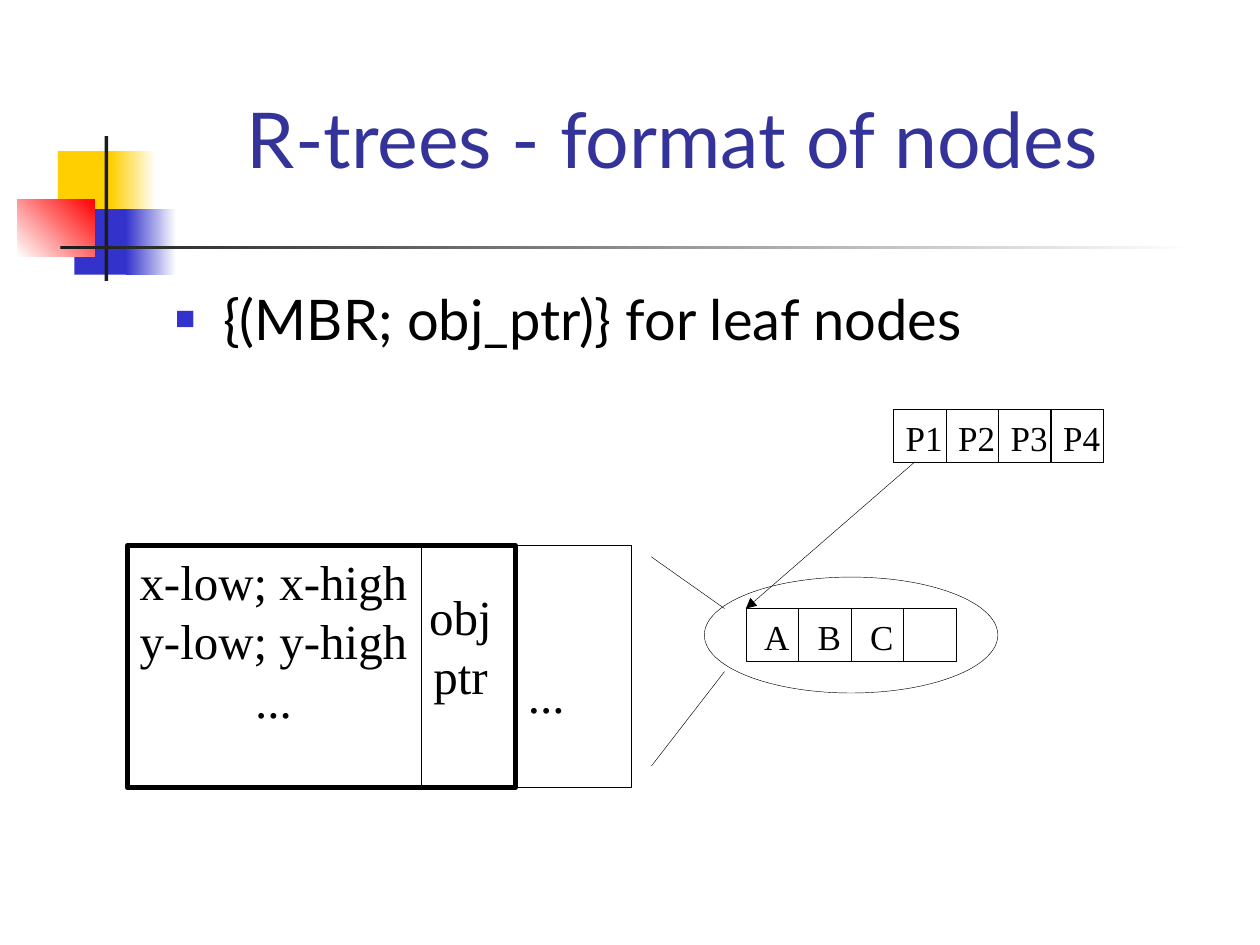
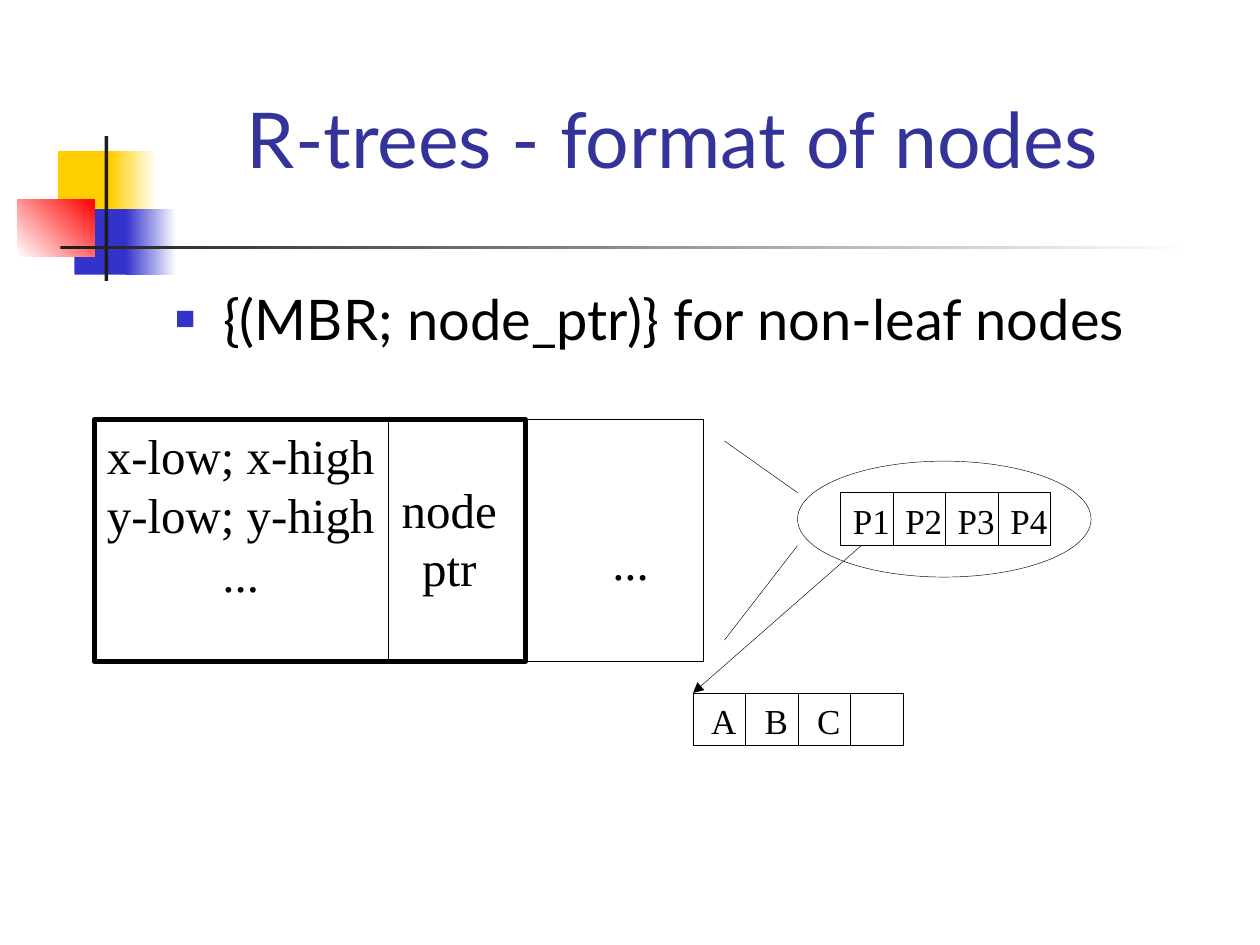
from lxml import etree
from pptx import Presentation
from pptx.dml.color import RGBColor
from pptx.enum.shapes import MSO_CONNECTOR, MSO_SHAPE
from pptx.enum.text import MSO_ANCHOR, MSO_AUTO_SIZE, PP_ALIGN
from pptx.oxml.ns import qn
from pptx.util import Inches, Pt

RECTANGLE = MSO_SHAPE.RECTANGLE
OVAL = MSO_SHAPE.OVAL
STRAIGHT = MSO_CONNECTOR.STRAIGHT
CENTER, LEFT = PP_ALIGN.CENTER, PP_ALIGN.LEFT
TOP, MIDDLE, BOTTOM = MSO_ANCHOR.TOP, MSO_ANCHOR.MIDDLE, MSO_ANCHOR.BOTTOM
NO_AUTOFIT = MSO_AUTO_SIZE.NONE

BLACK = RGBColor(0x00, 0x00, 0x00)
WHITE = RGBColor(0xFF, 0xFF, 0xFF)
YELLOW = RGBColor(0xFF, 0xCF, 0x01)
BLUE = RGBColor(0x33, 0x33, 0xCC)
RED = RGBColor(0xFF, 0x00, 0x00)
CHARCOAL = RGBColor(0x1C, 0x1C, 0x1C)
NAVY = RGBColor(0x33, 0x33, 0x99)

HEADING_FONT = "Lato"
DIAGRAM_FONT = "Times New Roman"
THIN, THICK = 0.25, 3
CELL = 1.25 / 3
MBR_WIDTH = 2.33
TABLE_HEIGHT = 1.92


def write_text(frame, lines, size=28, font=DIAGRAM_FONT, color=BLACK,
               align=CENTER, anchor=MIDDLE, wrap=False):
    frame.word_wrap = wrap
    frame.auto_size = NO_AUTOFIT
    frame.vertical_anchor = anchor
    frame.text = "\n".join(lines)
    for para in frame.paragraphs:
        para.alignment = align
        for span in para.runs:
            span.font.size = Pt(size)
            span.font.name = font
            span.font.color.rgb = color


def draw_shape(shapes, kind, area, colors=(), angle=0, line_width=None):
    shape = shapes.add_shape(kind, *map(Inches, area))
    shape.shadow.inherit = False
    if len(colors) == 2:
        shape.fill.gradient()
        shape.fill.gradient_angle = angle
        for stop, color in zip(shape.fill.gradient_stops, colors):
            stop.color.rgb = color
    elif colors:
        shape.fill.solid()
        shape.fill.fore_color.rgb = colors[0]
    else:
        shape.fill.background()
    if line_width:
        shape.line.color.rgb = BLACK
        shape.line.width = Pt(line_width)
    else:
        shape.line.fill.background()
    return shape


decorations = [
    ((0.46, 1.2, 0.48, 0.52), [YELLOW], 0),
    ((0.88, 1.2, 0.36, 0.52), [YELLOW, WHITE], 0),
    ((0.59, 1.66, 0.46, 0.52), [BLUE], 0),
    ((1, 1.66, 0.4, 0.52), [BLUE, WHITE], 0),
    ((0.14, 1.58, 0.61, 0.46), [WHITE, RED], 45),
    ((0.83, 1.08, 0.03, 1.15), [CHARCOAL], 0),
    ((0.48, 1.95, 9, 0.03), [CHARCOAL, WHITE], 0),
]

node_pages = [
    {
        "bullet": "{(MBR; obj_ptr)} for leaf nodes",
        "parent": (7.09, 3.25),
        "leaf": (5.92, 4.83),
        "table": (1.01, 4.33, 4),
        "entry_width": 3.08,
        "pointer": ["obj", "ptr"],
        "pointer_area": (3.31, 4.6, 0.69, 1.04),
        "dots": (4.09, 5.22),
        "ellipse": (5.59, 4.58),
        "zoom": (5.75, 4.83, 5.33),
    },
    {
        "bullet": "{(MBR; node_ptr)} for non-leaf nodes",
        "parent": (6.67, 3.91),
        "leaf": (5.5, 5.5),
        "table": (0.75, 3.33, 4.83),
        "entry_width": 3.42,
        "pointer": ["node", "ptr"],
        "pointer_area": (3.09, 3.75, 0.95, 1.04),
        "dots": (4.76, 4.17),
        "ellipse": (6.33, 3.66),
        "zoom": (6.33, 3.91, 4.33),
    },
]

deck = Presentation()
deck.slide_width, deck.slide_height = Inches(10), Inches(7.5)
layout = deck.slide_layouts[1]

for number, node in enumerate(node_pages):
    page = deck.slides.add_slide(layout)
    if number == 0:
        for area, colors, angle in decorations:
            decoration = draw_shape(page.shapes, RECTANGLE, area, colors, angle)
            layout.shapes.element.append(decoration.element)

    title, body = page.placeholders
    title.left, title.top, title.width, title.height = map(Inches, (1.08, 0.5, 8.52, 1.01))
    write_text(title.text_frame, ["R-trees - format of nodes"], size=44,
               font=HEADING_FONT, color=NAVY, anchor=BOTTOM, wrap=True)
    body.left, body.top, body.width, body.height = map(Inches, (1.29, 2.21, 8.5, 4.5))
    write_text(body.text_frame, [node["bullet"]], size=32,
               font=HEADING_FONT, align=LEFT, anchor=TOP, wrap=True)
    para = body.text_frame.paragraphs[0]
    para.space_before = Pt(8)
    properties = para._p.get_or_add_pPr()
    properties.set("marL", str(Inches(0.38)))
    properties.set("indent", str(Inches(-0.38)))
    bullet_color = etree.SubElement(properties, qn("a:buClr"))
    etree.SubElement(bullet_color, qn("a:srgbClr")).set("val", str(BLUE))
    etree.SubElement(properties, qn("a:buSzPct")).set("val", "60000")
    etree.SubElement(properties, qn("a:buChar")).set("char", "■")

    parent_left, parent_top = node["parent"]
    leaf_left, leaf_top = node["leaf"]
    rows = [
        (parent_left, parent_top, ["P1", "P2", "P3", "P4"], 0, 0.49),
        (leaf_left, leaf_top, ["A", "B", "C", ""], 0.05, 0.39),
    ]
    for left, top, labels, offset, label_width in rows:
        group = page.shapes.add_group_shape()
        for column, label in enumerate(labels):
            cell_left = left + column * CELL
            draw_shape(group.shapes, RECTANGLE, (cell_left, top, CELL, CELL), line_width=THIN)
            if label:
                area = (cell_left + offset, top, label_width, 0.44)
                box = group.shapes.add_textbox(*map(Inches, area))
                write_text(box.text_frame, [label], size=20)

    left, top, width = node["table"]
    entry_width = node["entry_width"]
    outlines = [
        (RECTANGLE, (left, top, width, TABLE_HEIGHT), THIN),
        (RECTANGLE, (left, top, entry_width, TABLE_HEIGHT), THICK),
        (OVAL, (*node["ellipse"], 2.33, 0.92), THIN),
    ]
    for kind, area, line_width in outlines:
        draw_shape(page.shapes, kind, area, line_width=line_width)

    table_texts = [
        (["x-low; x-high", "y-low; y-high", "..."], (left, top, 2.32, 1.5)),
        (node["pointer"], node["pointer_area"]),
        (["..."], (*node["dots"], 0.49, 0.57)),
    ]
    for lines, area in table_texts:
        box = page.shapes.add_textbox(*map(Inches, area))
        write_text(box.text_frame, lines)

    zoom_left, zoom_top, zoom_bottom = node["zoom"]
    bottom = top + TABLE_HEIGHT
    connections = [
        ((parent_left + 0.17, parent_top + CELL, leaf_left, leaf_top), True),
        ((left + MBR_WIDTH, bottom, left + MBR_WIDTH, top), False),
        ((left + entry_width, bottom, left + entry_width, top), False),
        ((zoom_left, zoom_top, zoom_left - 0.58, zoom_top - 0.41), False),
        ((zoom_left, zoom_bottom, zoom_left - 0.58, zoom_bottom + 0.75), False),
    ]
    for ends, has_arrow in connections:
        connector = page.shapes.add_connector(STRAIGHT, *map(Inches, ends))
        connector.line.color.rgb = BLACK
        connector.line.width = Pt(THIN)
        if has_arrow:
            line = connector.line._get_or_add_ln()
            etree.SubElement(line, qn("a:tailEnd")).set("type", "triangle")
        etree.SubElement(connector.element.spPr, qn("a:effectLst"))

deck.save("out.pptx")
